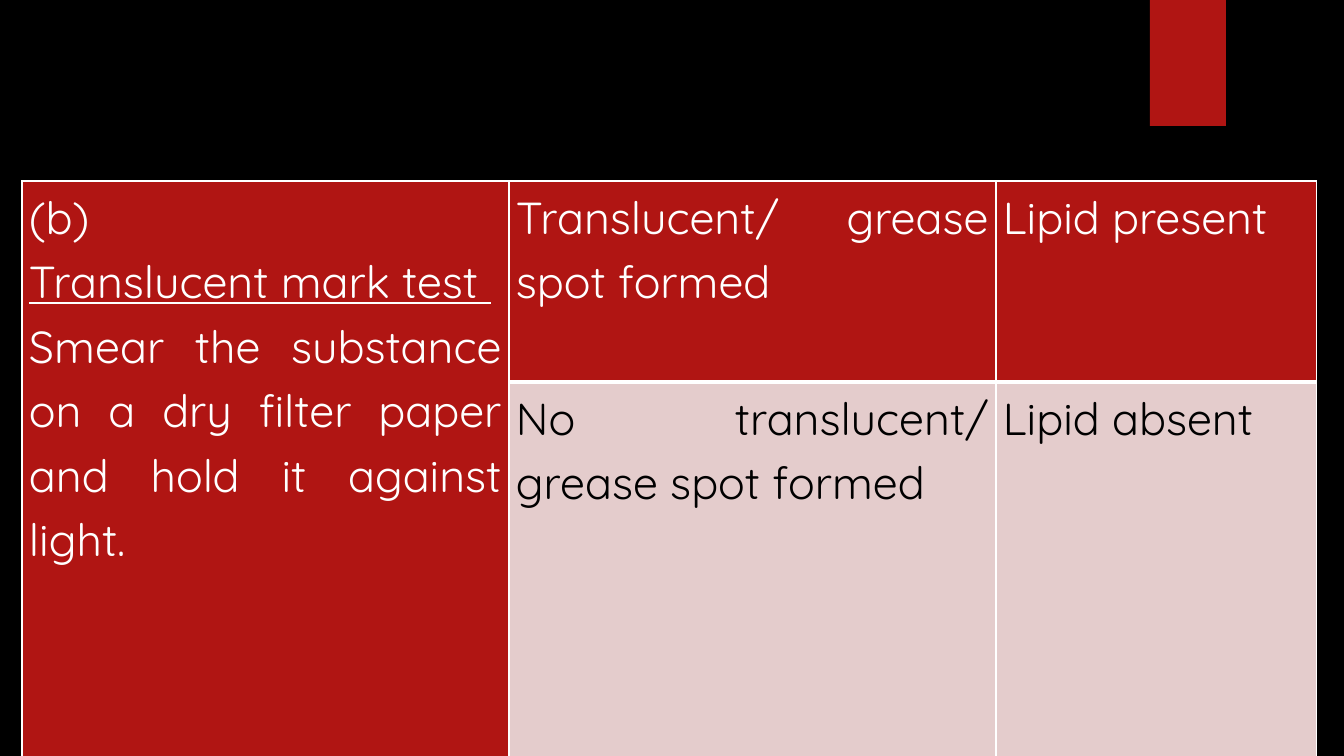
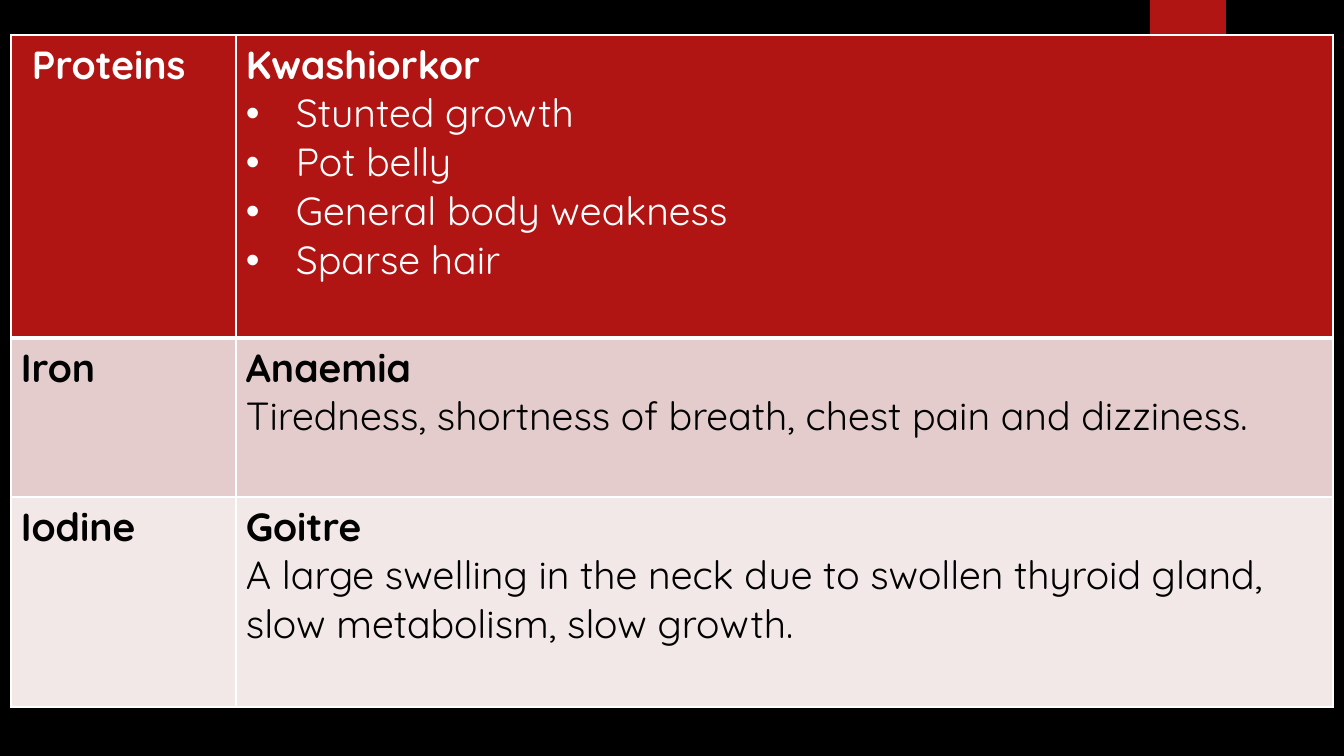
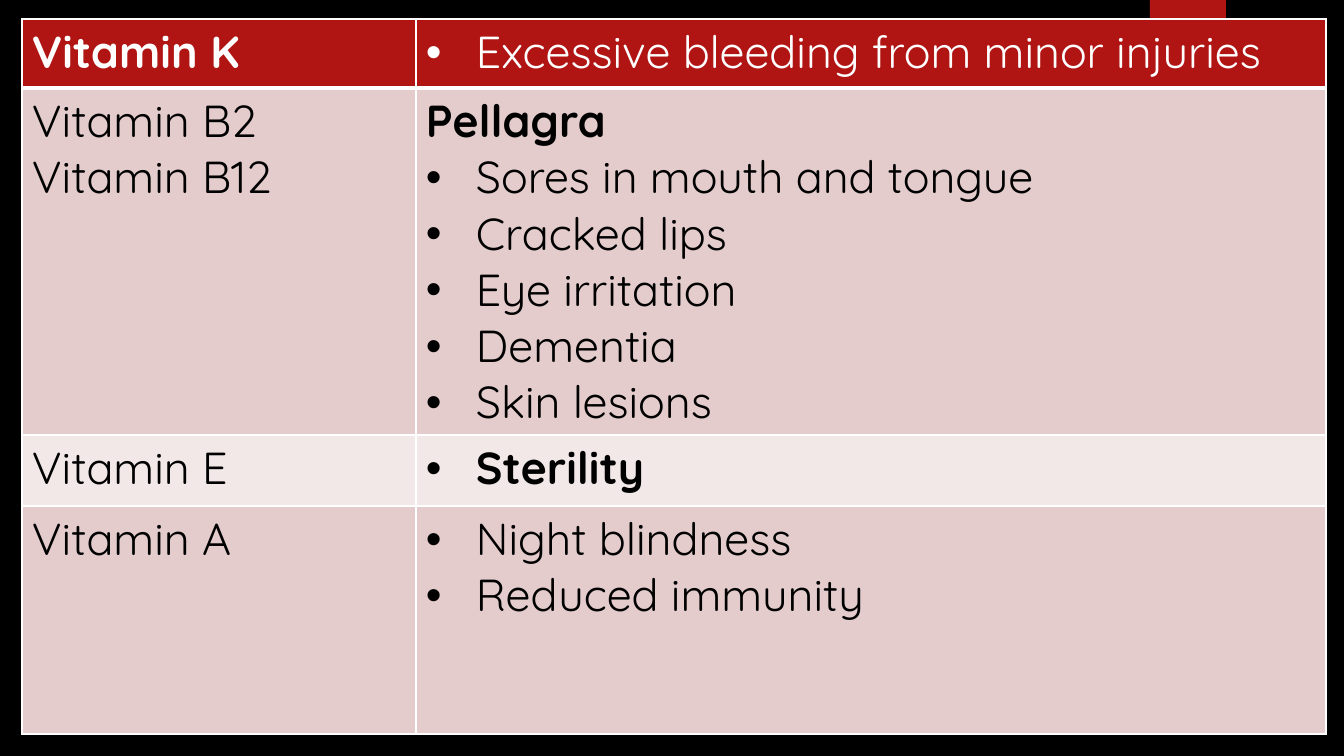
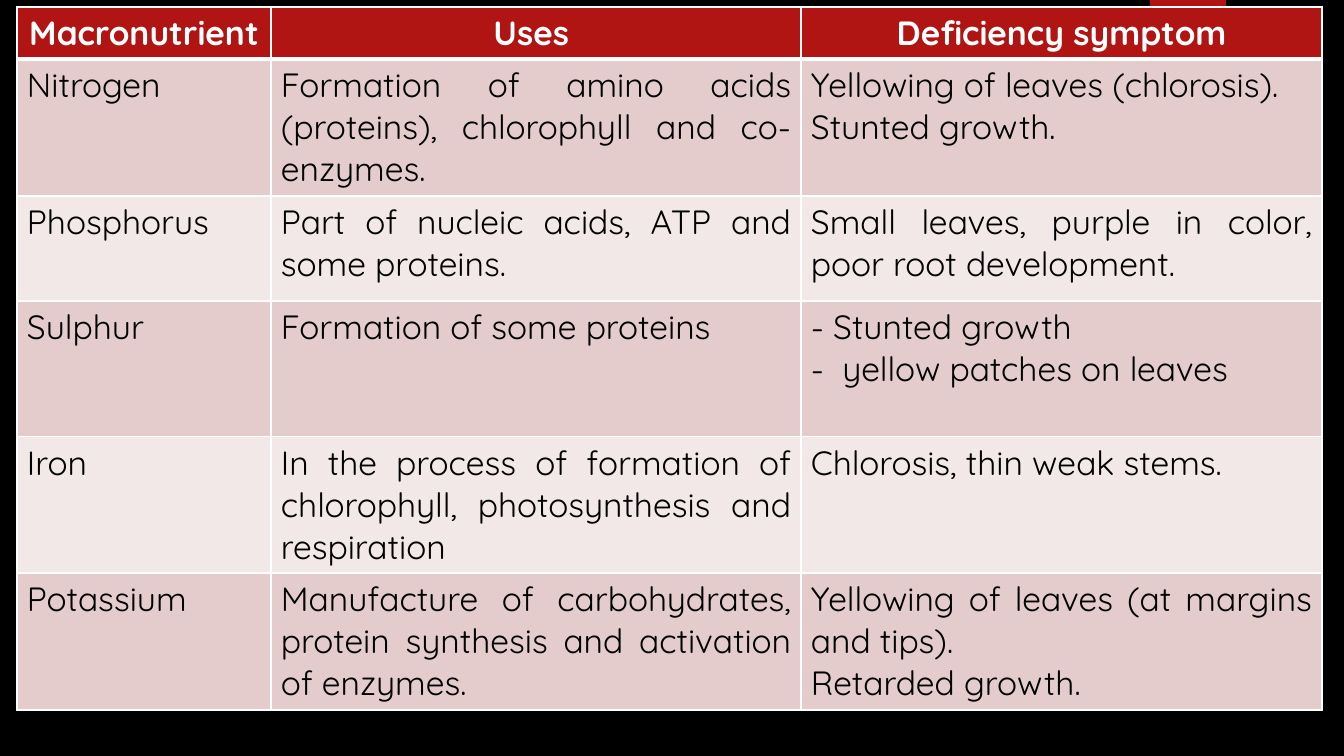
from dataclasses import dataclass

from lxml.etree import SubElement
from pptx import Presentation
from pptx.dml.color import RGBColor
from pptx.enum.shapes import MSO_SHAPE
from pptx.enum.text import PP_ALIGN
from pptx.oxml.ns import qn
from pptx.util import Emu, Pt

# Shared look
WIDE, HIGH = 1344, 756
SCALE = 12192000 / WIDE
FONT = "Quicksand"
COLORS = {
    "back": "000000",
    "red": "B01513",
    "rose": "E4CCCC",
    "pale": "F2E8E7",
    "light": "FFFFFF",
    "dark": "000000",
}
LEFT, MID, FULL = PP_ALIGN.LEFT, PP_ALIGN.CENTER, PP_ALIGN.JUSTIFY
INDENT = 50


@dataclass(frozen=True)
class Line:
    text: str
    bold: bool = False
    under: bool = False
    bullet: bool = False


Cell = tuple[Line, ...]


@dataclass(frozen=True)
class Grid:
    left: int
    top: int
    cols: list[int]
    rows: list[int]
    cells: list[list[Cell]]
    size: int
    head: PP_ALIGN = LEFT
    body: PP_ALIGN = LEFT
    space: float = 1.0
    inset: tuple[int, int] = (10, 5)
    merge: bool = False


def px(count: int) -> Emu:
    return Emu(round(count * SCALE))


def color(name: str) -> RGBColor:
    return RGBColor.from_string(COLORS[name])


def plain(*texts: str) -> Cell:
    return tuple(Line(text) for text in texts)


def bold(text: str) -> Cell:
    return (Line(text, bold=True),)


def dots(*texts: str) -> Cell:
    return tuple(Line(text, bullet=True) for text in texts)


def write(frame, lines: Cell, *, size: int, ink: str, align: PP_ALIGN, space: float) -> None:
    """Fill a text frame with one paragraph for each line."""
    frame.word_wrap = True
    for index, line in enumerate(lines):
        para = frame.add_paragraph() if index else frame.paragraphs[0]
        para.alignment = align
        para.line_spacing = space
        if line.bullet:
            props = para._p.get_or_add_pPr()
            props.set("marL", str(px(INDENT)))
            props.set("indent", str(-px(INDENT)))
            SubElement(props, qn("a:buFont"), typeface="Arial")
            SubElement(props, qn("a:buChar"), char="•")
        run = para.add_run()
        run.text = line.text
        font = run.font
        font.name, font.size = FONT, Pt(size)
        font.bold, font.underline = line.bold, line.under
        font.color.rgb = color(ink)


def edge(cell, top: int, bottom: int) -> None:
    """Draw white cell borders; widths are in points."""
    props = cell._tc.get_or_add_tcPr()
    for side, width in zip("LRTB", (1, 1, top, bottom)):
        line = SubElement(props, qn(f"a:ln{side}"), w=str(Pt(width)))
        fill = SubElement(line, qn("a:solidFill"))
        SubElement(fill, qn("a:srgbClr"), val=COLORS["light"])


def ribbon(slide) -> None:
    shape = slide.shapes.add_shape(MSO_SHAPE.RECTANGLE, px(1150), 0, px(76), px(126))
    shape.shadow.inherit = False
    shape.fill.solid()
    shape.fill.fore_color.rgb = color("red")
    shape.line.fill.background()


def draw(slide, grid: Grid) -> None:
    """Add a table with a red first row and banded rows below."""
    table = slide.shapes.add_table(
        len(grid.rows), len(grid.cols), px(grid.left), px(grid.top),
        px(sum(grid.cols)), px(sum(grid.rows)),
    ).table
    table.first_row = table.horz_banding = False
    for col, width in zip(table.columns, grid.cols):
        col.width = px(width)
    for row, height in zip(table.rows, grid.rows):
        row.height = px(height)
    if grid.merge:
        table.cell(0, 0).merge(table.cell(len(grid.rows) - 1, 0))

    side, end = map(px, grid.inset)
    for r, row in enumerate(grid.cells):
        for c, lines in enumerate(row):
            cell = table.cell(r, c)
            if cell.is_spanned:
                continue
            thick = r == 0 and not cell.is_merge_origin
            edge(cell, 3 if r == 1 else 1, 3 if thick else 1)
            cell.fill.solid()
            cell.fill.fore_color.rgb = color("red" if r == 0 else ("pale", "rose")[r % 2])
            cell.margin_left = cell.margin_right = side
            cell.margin_top = cell.margin_bottom = end
            write(
                cell.text_frame, lines, size=grid.size, space=grid.space,
                ink="dark" if r else "light", align=grid.body if r else grid.head,
            )


# Slide content
LIPIDS = Grid(
    22, 181, [487, 487, 321], [201, 376],
    [
        [
            (
                Line("(b)  "),
                Line("Translucent mark test ", under=True),
                Line("Smear the substance on a dry filter paper and hold it against light. "),
            ),
            plain("Translucent/ grease spot formed"),
            plain("Lipid present"),
        ],
        [(), plain("No translucent/ grease spot formed "), plain("Lipid absent")],
    ],
    size=32, head=FULL, body=FULL, space=1.15, inset=(7, 0), merge=True,
)

DISEASES = Grid(
    11, 35, [225, 1097], [303, 159, 210],
    [
        [
            bold(" Proteins"),
            bold("Kwashiorkor")
            + dots("Stunted growth", "Pot belly ", "General body weakness", "Sparse hair"),
        ],
        [
            bold("Iron"),
            bold("Anaemia")
            + plain("Tiredness, shortness of breath, chest pain and dizziness."),
        ],
        [
            bold("Iodine"),
            bold("Goitre")
            + plain("A large swelling in the neck due to swollen thyroid gland, "
                    "slow metabolism, slow growth."),
        ],
    ],
    size=28,
)

VITAMINS = Grid(
    22, 19, [394, 910], [69, 347, 71, 228],
    [
        [bold("Vitamin K"), dots("Excessive bleeding from minor injuries")],
        [
            plain("Vitamin B2", "Vitamin B12"),
            bold("Pellagra")
            + dots("Sores in mouth and tongue", "Cracked lips", "Eye irritation",
                   "Dementia", "Skin lesions"),
        ],
        [plain("Vitamin E"), (Line("Sterility", bold=True, bullet=True),)],
        [plain("Vitamin A"), dots("Night blindness", "Reduced immunity")],
    ],
    size=32,
)

MINERALS = Grid(
    17, 7, [254, 530, 521], [52, 137, 105, 136, 136, 137],
    [
        [bold("Macronutrient "), bold("Uses "), bold("Deficiency symptom")],
        [
            plain("Nitrogen "),
            plain("Formation of amino acids (proteins), chlorophyll and co-enzymes."),
            plain("Yellowing of leaves (chlorosis).", "Stunted growth."),
        ],
        [
            plain("Phosphorus "),
            plain("Part of nucleic acids, ATP and some proteins."),
            plain("Small leaves, purple in color, poor root development."),
        ],
        [
            plain("Sulphur"),
            plain("Formation of some proteins"),
            plain("- Stunted growth ", "-  yellow patches on leaves"),
        ],
        [
            plain("Iron "),
            plain("In the process of formation of chlorophyll, photosynthesis and respiration"),
            plain("Chlorosis, thin weak stems."),
        ],
        [
            plain("Potassium "),
            plain("Manufacture of carbohydrates, protein synthesis and activation of enzymes."),
            plain("Yellowing of leaves (at margins and tips).", "Retarded growth."),
        ],
    ],
    size=24, head=MID, body=FULL,
)


def main() -> None:
    deck = Presentation()
    deck.slide_width, deck.slide_height = px(WIDE), px(HIGH)
    back = deck.slide_master.background.fill
    back.solid()
    back.fore_color.rgb = color("back")
    for grid in (LIPIDS, DISEASES, VITAMINS, MINERALS):
        slide = deck.slides.add_slide(deck.slide_layouts[6])
        ribbon(slide)
        draw(slide, grid)
    deck.save("out.pptx")


if __name__ == "__main__":
    main()
